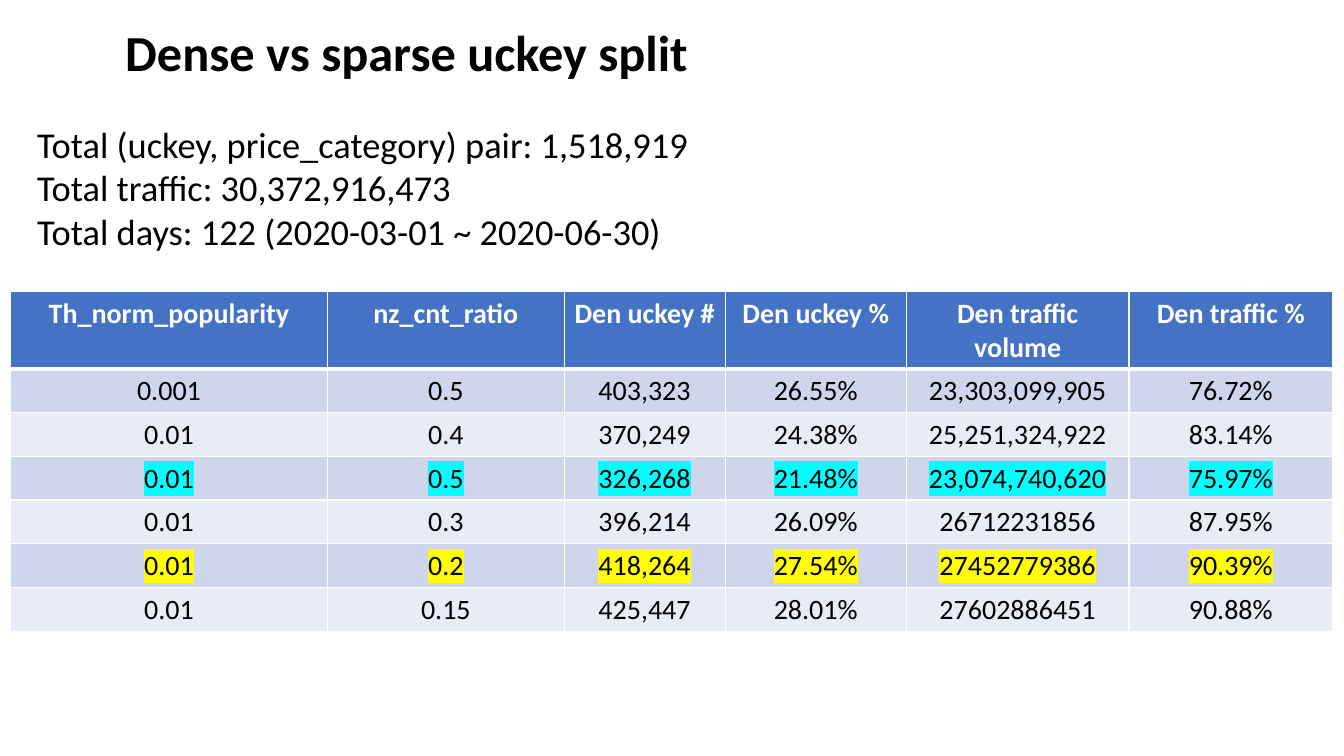
from lxml.etree import SubElement
from pptx import Presentation
from pptx.dml.color import RGBColor
from pptx.enum.text import MSO_ANCHOR, PP_ALIGN
from pptx.oxml import parse_xml
from pptx.oxml.ns import nsdecls, qn
from pptx.util import Pt

BLACK, WHITE = "000000", "FFFFFF"
HEADER, BAND_DARK, BAND_LIGHT = "4472C4", "CFD5EA", "E9EBF5"
CYAN, YELLOW = "00FFFF", "FFFF00"


def rgb(value):
    return RGBColor.from_string(value)


def solid(value):
    return parse_xml(f'<a:solidFill {nsdecls("a")}><a:srgbClr val="{value}"/></a:solidFill>')


def write(p, text, size=20, color=BLACK, bold=False, align=PP_ALIGN.CENTER,
          font="Calibri", highlight=None):
    """Put formatted text into a paragraph."""
    p.alignment = align
    r = p.add_run()
    r.text = text
    r.font.size, r.font.bold, r.font.name = Pt(size), bold, font
    r.font.color.rgb = rgb(color)
    if highlight:
        mark = parse_xml(f'<a:highlight {nsdecls("a")}><a:srgbClr val="{highlight}"/></a:highlight>')
        r.font._element.find(qn("a:solidFill")).addnext(mark)


class Deck:
    def __init__(self, width, height):
        self.prs = Presentation()
        self.prs.slide_width, self.prs.slide_height = Pt(width), Pt(height)
        self.s = self.prs.slides.add_slide(self.prs.slide_layouts[6])

    def text(self, x, y, w, h, lines, **fmt):
        tf = self.s.shapes.add_textbox(Pt(x), Pt(y), Pt(w), Pt(h)).text_frame
        tf.word_wrap = True
        for i, line in enumerate(lines):
            write(tf.add_paragraph() if i else tf.paragraphs[0], line, **fmt)

    def cell(self, cell, text, fill, bottom=1, **fmt):
        tcPr = cell._tc.get_or_add_tcPr()
        for side, width in (("L", 1), ("R", 1), ("T", 1), ("B", bottom)):
            ln = SubElement(tcPr, qn(f"a:ln{side}"), w=str(Pt(width)))
            ln.append(solid(WHITE))
        cell.fill.solid()
        cell.fill.fore_color.rgb = rgb(fill)
        cell.vertical_anchor = MSO_ANCHOR.TOP
        write(cell.text_frame.paragraphs[0], text, **fmt)

    def table(self, x, y, widths, row_height, header, rows, marks):
        table = self.s.shapes.add_table(
            len(rows) + 1, len(widths), Pt(x), Pt(y),
            Pt(sum(widths)), Pt(row_height * (len(rows) + 1))).table
        for col, width in zip(table.columns, widths):
            col.width = Pt(width)
        for row in table.rows:
            row.height = Pt(row_height)
        for c, label in enumerate(header):
            self.cell(table.cell(0, c), label, HEADER, bottom=3, color=WHITE, bold=True)
        for r, values in enumerate(rows, 1):
            band = BAND_DARK if r % 2 else BAND_LIGHT
            for c, value in enumerate(values):
                self.cell(table.cell(r, c), value, band, highlight=marks.get(r))


deck = Deck(960, 540)

# Title and totals
deck.text(57, 11.5, 467, 51, ["Dense vs sparse uckey split"], size=36, bold=True)
deck.text(19.5, 83.5, 906, 101.5, [
    "Total (uckey, price_category) pair: 1,518,919",
    "Total traffic: 30,372,916,473",
    "Total days: 122 (2020-03-01 ~ 2020-06-30)",
], size=26, align=PP_ALIGN.JUSTIFY)

# Threshold comparison, with two highlighted rows
deck.table(
    7.5, 208.2, [226.5, 169, 115, 129.5, 159, 145.5], 29.5,
    ["Th_norm_popularity", "nz_cnt_ratio", "Den uckey #", "Den uckey %",
     "Den traffic volume", "Den traffic %"],
    [
        ["0.001", "0.5", "403,323", "26.55%", "23,303,099,905", "76.72%"],
        ["0.01", "0.4", "370,249", "24.38%", "25,251,324,922", "83.14%"],
        ["0.01", "0.5", "326,268", "21.48%", "23,074,740,620", "75.97%"],
        ["0.01", "0.3", "396,214", "26.09%", "26712231856", "87.95%"],
        ["0.01", "0.2", "418,264", "27.54%", "27452779386", "90.39%"],
        ["0.01", "0.15", "425,447", "28.01%", "27602886451", "90.88%"],
    ],
    marks={3: CYAN, 5: YELLOW})

deck.prs.save("out.pptx")
